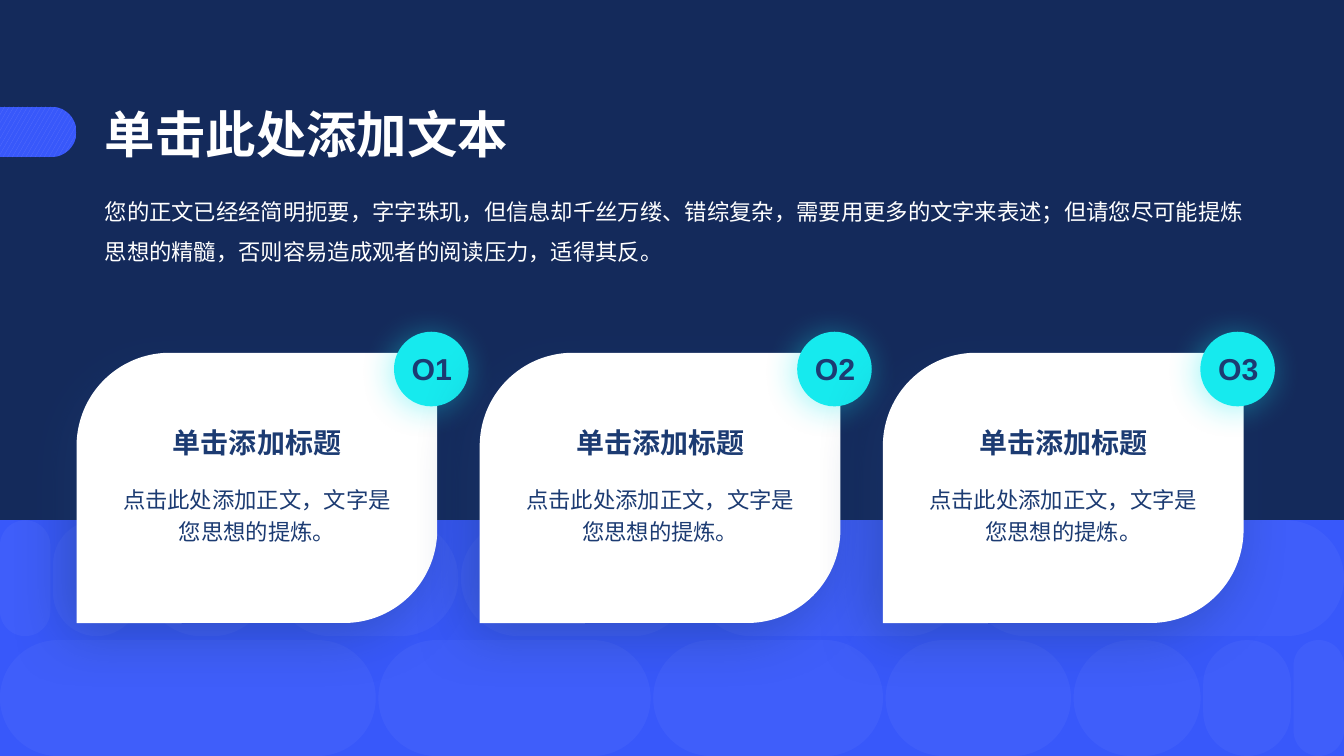
from math import cos, pi, sin

from lxml.etree import SubElement
from pptx import Presentation
from pptx.dml.color import RGBColor
from pptx.enum.dml import MSO_PATTERN
from pptx.enum.shapes import MSO_SHAPE as SHAPE
from pptx.enum.text import MSO_ANCHOR as ANCHOR, MSO_AUTO_SIZE as AUTO, PP_ALIGN as ALIGN
from pptx.oxml.ns import qn
from pptx.util import Cm, Pt

WIDTH, HEIGHT = 33.87, 19.05
NAVY, INK, BLUE, PALE = "142A5B", "1C3B72", "3858FA", "5C73FB"
CYAN, WHITE = "16EAEE", "FFFFFF"


def rgb(value):
    return RGBColor.from_string(value)


class Deck:
    font = "Arial"

    def __init__(self):
        self.prs = Presentation()
        self.prs.slide_width, self.prs.slide_height = Cm(WIDTH), Cm(HEIGHT)
        self.s = self.prs.slides.add_slide(self.prs.slide_layouts[5])
        self.s.background.fill.solid()
        self.s.background.fill.fore_color.rgb = rgb(NAVY)

    def shape(self, kind, x, y, w, h, color, adj=(), alpha=None, shadow=None):
        sp = self.s.shapes.add_shape(kind, Cm(x), Cm(y), Cm(w), Cm(h))
        for i, value in enumerate(adj):
            sp.adjustments[i] = value
        sp.fill.solid()
        sp.fill.fore_color.rgb = rgb(color)
        sp.line.fill.background()
        sp.shadow.inherit = False
        if alpha:
            clr = sp._element.spPr.find(qn("a:solidFill"))[0]
            SubElement(clr, qn("a:alpha"), val=str(alpha * 1000))
        if shadow:
            self.glow(sp, *shadow)
        return sp

    def glow(self, sp, color, blur, dist):
        """Outer shadow towards the lower left, 40 % opaque."""
        effects = sp._element.spPr.find(qn("a:effectLst"))
        outer = SubElement(effects, qn("a:outerShdw"), blurRad=str(Pt(blur)),
                           dist=str(Pt(dist)), dir=str(135 * 60000),
                           algn="tr", rotWithShape="0")
        clr = SubElement(outer, qn("a:srgbClr"), val=color)
        SubElement(clr, qn("a:alpha"), val="40000")

    def tab(self, y, w, h):
        """Patterned tab at the left edge with a round right end."""
        r = h / 2
        arc = [(w - r + r * cos(a), y + r + r * sin(a))
               for a in (pi * (k / 24 - 0.5) for k in range(25))]
        points = [(Cm(px), Cm(py)) for px, py in arc + [(0, y + h)]]
        builder = self.s.shapes.build_freeform(0, Cm(y))
        builder.add_line_segments(points, close=True)
        sp = builder.convert_to_shape()
        sp.fill.patterned()
        sp.fill.pattern = MSO_PATTERN.LARGE_CONFETTI
        sp.fill.fore_color.rgb, sp.fill.back_color.rgb = rgb(PALE), rgb(BLUE)
        sp.line.fill.background()
        sp.shadow.inherit = False

    def set_text(self, sp, text, size, color, bold=False, align=ALIGN.LEFT, spacing=None):
        tf = sp.text_frame
        tf.text = text
        tf.word_wrap, tf.auto_size = True, AUTO.NONE
        tf.vertical_anchor = ANCHOR.TOP
        p = tf.paragraphs[0]
        p.alignment, p.line_spacing = align, spacing
        f = p.runs[0].font
        f.name, f.size, f.bold = self.font, Pt(size), bold
        f.color.rgb = rgb(color)

    def text(self, x, y, w, h, *args, **style):
        box = self.s.shapes.add_textbox(Cm(x), Cm(y), Cm(w), Cm(h))
        self.set_text(box, *args, **style)

    def title(self, x, y, w, h, *args, **style):
        sp = self.s.shapes.title
        sp.left, sp.top, sp.width, sp.height = Cm(x), Cm(y), Cm(w), Cm(h)
        self.set_text(sp, *args, **style)

    def card(self, x, number, heading, body):
        self.shape(SHAPE.ROUND_2_DIAG_RECTANGLE, x, 8.89, 9.09, 6.81, WHITE,
                   adj=(0.345, 0), shadow=(INK, 41, 11))
        self.text(x + 0.69, 10.59, 7.72, 1.14, heading, 20, INK,
                  bold=True, align=ALIGN.CENTER)
        self.text(x + 0.69, 11.99, 7.72, 3.53, body, 16, INK,
                  align=ALIGN.CENTER, spacing=1.2)
        self.shape(SHAPE.OVAL, x + 8, 8.36, 1.88, 1.88, CYAN, shadow=(CYAN, 24, 3))
        self.text(x + 8.08, 8.71, 1.75, 1.14, number, 21.6, INK,
                  bold=True, align=ALIGN.CENTER)


def main():
    deck = Deck()

    # Blue band with two mirrored rows of pills
    band_top, pill_h = 13.11, 2.92
    deck.shape(SHAPE.RECTANGLE, 0, band_top, WIDTH, HEIGHT - band_top, BLUE)
    pills = [9.47, 6.86, 5.79, 4.67, 3.2, 2.21, 1.27]
    gap = (WIDTH - sum(pills)) / (len(pills) - 1)
    for y, widths in ((band_top, pills[::-1]), (HEIGHT - pill_h, pills)):
        x = 0
        for w in widths:
            deck.shape(SHAPE.ROUNDED_RECTANGLE, x, y, w, pill_h, WHITE,
                       adj=(0.5,), alpha=4)
            x += w + gap

    # Heading
    deck.tab(2.69, 1.93, 1.27)
    deck.title(2.39, 2.46, 11.28, 2.01, "单击此处添加文本", 36, WHITE, bold=True)
    deck.text(2.39, 4.52, 29.59, 3.23,
              "您的正文已经经简明扼要，字字珠玑，但信息却千丝万缕、错综复杂，"
              "需要用更多的文字来表述；但请您尽可能提炼思想的精髓，"
              "否则容易造成观者的阅读压力，适得其反。", 16, WHITE, spacing=1.5)

    # Numbered cards
    for i, number in enumerate(("O1", "O2", "O3")):
        deck.card(1.93 + 10.16 * i, number, "单击添加标题",
                  "点击此处添加正文，文字是您思想的提炼。")

    deck.prs.save("out.pptx")


if __name__ == "__main__":
    main()
